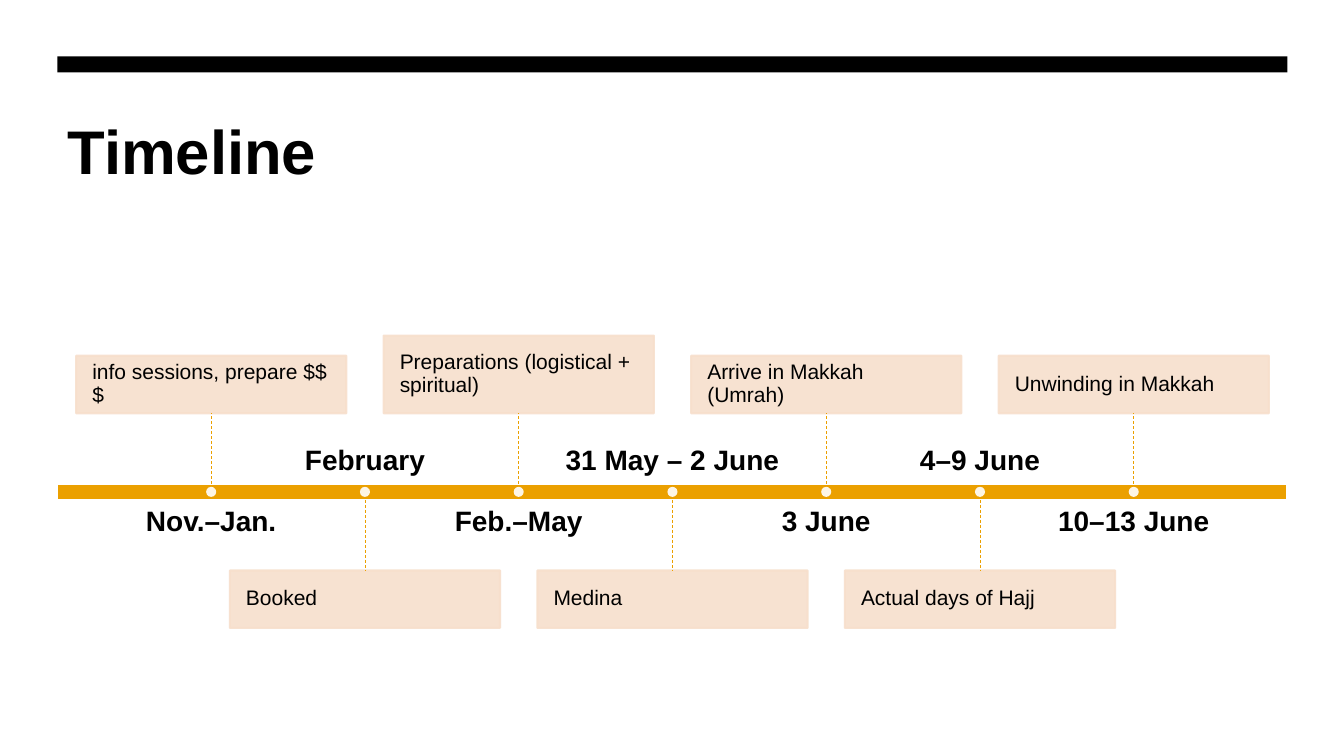
from lxml import etree
from pptx import Presentation
from pptx.dml.color import RGBColor
from pptx.enum.dml import MSO_LINE
from pptx.enum.shapes import MSO_CONNECTOR, MSO_SHAPE
from pptx.enum.text import MSO_ANCHOR, PP_ALIGN
from pptx.oxml.ns import qn
from pptx.util import Inches, Pt

FONT = "Arial"
BLACK, WHITE, GOLD, PEACH = "000000", "FFFFFF", "EBA000", "F7DFCC"
OPACITY = 90
BAR_HEIGHT = 0.16
STEM_LENGTH = 0.7
CARD_WIDTH, CARD_HEIGHT = 2.68, 0.57
DATE_WIDTH, DATE_HEIGHT, DATE_GAP = 2.44, 0.47, 0.07
DOT_SIZE = 0.1

MILESTONES = [
    ("Nov.–Jan.", "info sessions, prepare $$$", CARD_HEIGHT),
    ("February", "Booked", CARD_HEIGHT),
    ("Feb.–May", "Preparations (logistical + spiritual)", 0.77),
    ("31 May – 2 June", "Medina", CARD_HEIGHT),
    ("3 June", "Arrive in Makkah (Umrah)", CARD_HEIGHT),
    ("4–9 June", "Actual days of Hajj", CARD_HEIGHT),
    ("10–13 June", "Unwinding in Makkah", CARD_HEIGHT),
]


def color(hex_string):
    """Return the colour for a hex string."""
    return RGBColor.from_string(hex_string)


def set_opacity(shape):
    """Make every solid colour of the shape slightly transparent."""
    for rgb in shape._element.spPr.iter(qn("a:srgbClr")):
        etree.SubElement(rgb, qn("a:alpha"), val=str(OPACITY * 1000))


def add_block(slide, kind, left, top, width, height, fill, line=None):
    """Add a filled preset shape, outlined when a line colour is given."""
    shape = slide.shapes.add_shape(
        kind, Inches(left), Inches(top), Inches(width), Inches(height))
    shape.shadow.inherit = False
    shape.fill.solid()
    shape.fill.fore_color.rgb = color(fill)
    if line:
        shape.line.color.rgb = color(line)
        shape.line.width = Pt(1.5)
    else:
        shape.line.fill.background()
    return shape


def write_text(shape, text, size, bold=False, align=PP_ALIGN.LEFT,
               anchor=MSO_ANCHOR.TOP, inset=0.0, spacing=0.9):
    """Put one wrapped paragraph into the shape."""
    frame = shape.text_frame
    frame.word_wrap = True
    frame.vertical_anchor = anchor
    frame.margin_left = frame.margin_right = Inches(inset)
    frame.margin_top = frame.margin_bottom = Inches(inset)
    paragraph = frame.paragraphs[0]
    paragraph.text = text
    paragraph.alignment = align
    paragraph.line_spacing = spacing
    font = paragraph.font
    font.name, font.size, font.bold = FONT, Pt(size), bold
    font.color.rgb = color(BLACK)


def add_text_box(slide, left, top, width, height, text, size, **style):
    """Add a bold text box."""
    box = slide.shapes.add_textbox(
        Inches(left), Inches(top), Inches(width), Inches(height))
    write_text(box, text, size, bold=True, **style)


def add_header(slide, left, top, width):
    """Add the black rule and the title below it."""
    add_block(slide, MSO_SHAPE.RECTANGLE, left, top, width, BAR_HEIGHT, BLACK)
    add_text_box(slide, left + 0.05, top + 0.51, width - 0.1, 1.6,
                 "Timeline", 44, inset=0.05, spacing=1.0)


def add_stem(slide, center, bar_edge, card, card_edge, site):
    """Join the bar to a card with a dashed line."""
    stem = slide.shapes.add_connector(
        MSO_CONNECTOR.STRAIGHT, Inches(center), Inches(bar_edge),
        Inches(center), Inches(card_edge))
    stem.end_connect(card, site)
    stem.line.color.rgb = color(GOLD)
    stem.line.width = Pt(0.5)
    stem.line.dash_style = MSO_LINE.DASH
    etree.SubElement(stem._element.spPr, qn("a:effectLst"))


def add_milestone(slide, center, bar_top, above, date, event, height):
    """Add a card on one side of the bar, its date on the other, and a dot."""
    bar_bottom = bar_top + BAR_HEIGHT
    if above:
        bar_edge, card_edge, site = bar_top, bar_top - STEM_LENGTH, 2
        card_top = card_edge - height
        date_top, date_anchor = bar_bottom + DATE_GAP, MSO_ANCHOR.TOP
    else:
        bar_edge, card_edge, site = bar_bottom, bar_bottom + STEM_LENGTH, 0
        card_top = card_edge
        date_top = bar_top - DATE_GAP - DATE_HEIGHT
        date_anchor = MSO_ANCHOR.BOTTOM

    add_text_box(slide, center - DATE_WIDTH / 2, date_top, DATE_WIDTH,
                 DATE_HEIGHT, date, 20, align=PP_ALIGN.CENTER,
                 anchor=date_anchor)
    card = add_block(slide, MSO_SHAPE.RECTANGLE, center - CARD_WIDTH / 2,
                     card_top, CARD_WIDTH, height, PEACH, PEACH)
    set_opacity(card)
    write_text(card, event, 15, anchor=MSO_ANCHOR.MIDDLE, inset=0.16)
    add_stem(slide, center, bar_edge, card, card_edge, site)
    dot = add_block(slide, MSO_SHAPE.OVAL, center - DOT_SIZE / 2,
                    bar_top + (BAR_HEIGHT - DOT_SIZE) / 2,
                    DOT_SIZE, DOT_SIZE, WHITE)
    set_opacity(dot)


def add_timeline(slide, left, top, width):
    """Add the bar and its evenly spaced milestones on alternating sides."""
    add_block(slide, MSO_SHAPE.RECTANGLE, left, top, width, BAR_HEIGHT,
              GOLD, WHITE)
    pitch = width / (len(MILESTONES) + 1)
    for index, milestone in enumerate(MILESTONES):
        add_milestone(slide, left + pitch * (index + 1), top,
                      index % 2 == 0, *milestone)


def main():
    """Build and save the slide."""
    presentation = Presentation()
    presentation.slide_width = Inches(13.33)
    presentation.slide_height = Inches(7.5)
    slide = presentation.slides.add_slide(presentation.slide_layouts[6])
    add_header(slide, 0.57, 0.56, 12.2)
    add_timeline(slide, 0.57, 4.8, 12.2)
    presentation.save("out.pptx")


if __name__ == "__main__":
    main()
